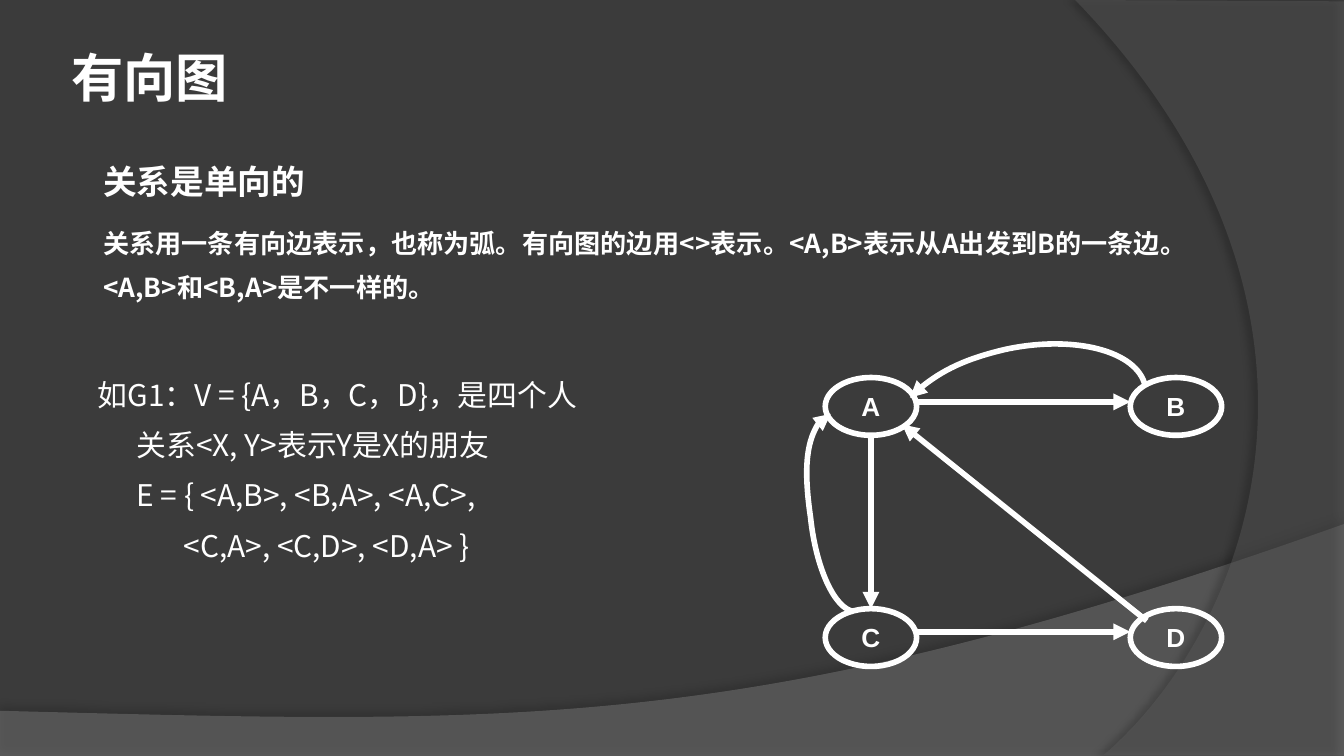
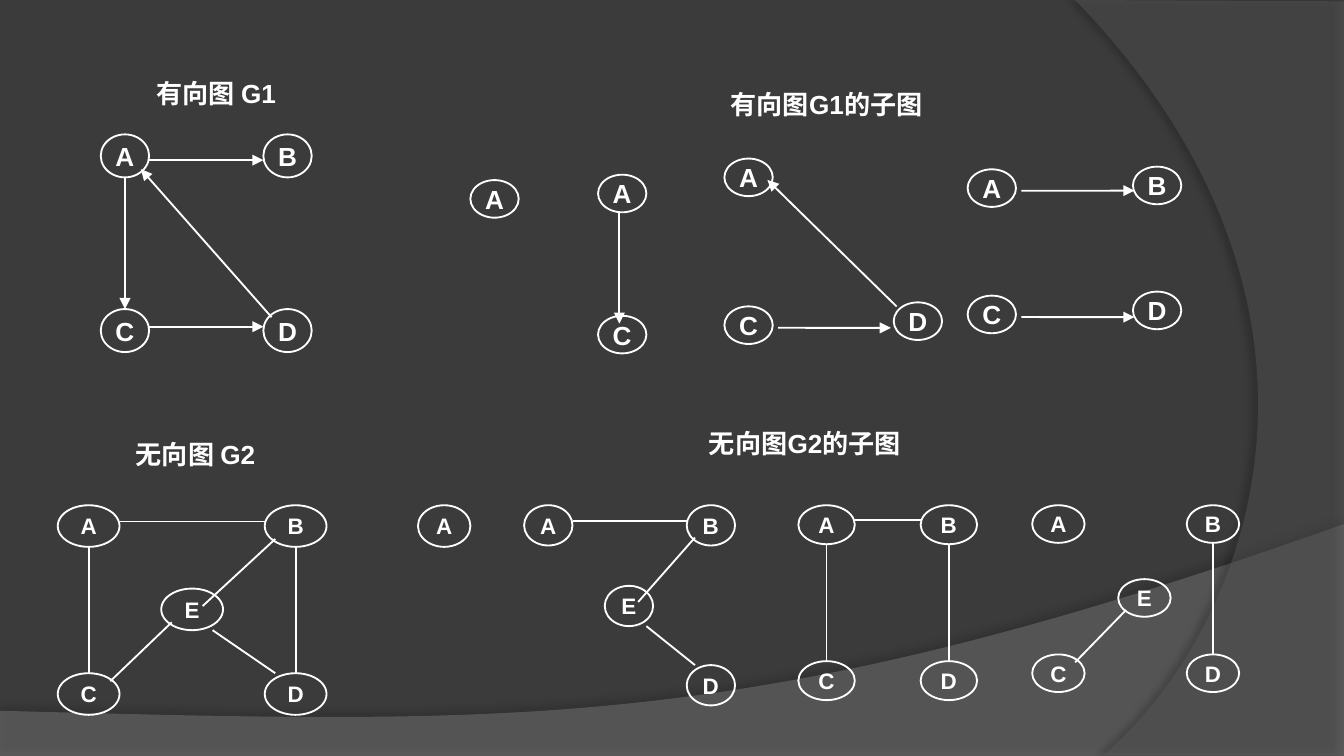
from dataclasses import dataclass
from math import cos, radians, sin

from lxml.etree import SubElement as Sub
from pptx import Presentation
from pptx.dml.color import RGBColor as Rgb
from pptx.enum.shapes import MSO_CONNECTOR as Link, MSO_SHAPE as Kind
from pptx.enum.text import MSO_ANCHOR as Anchor, MSO_AUTO_SIZE as Fit, PP_ALIGN as Align
from pptx.oxml.ns import qn
from pptx.util import Cm, Pt


@dataclass(frozen=True)
class Theme:
    back: str = "3B3B3B"
    ink: str = "FFFFFF"
    wave: str = "7F7F7F"
    side: str = "5E5E5E"
    shade: str = "000000"
    latin: str = "Arial"
    han: str = "Noto Sans CJK SC"
    title: int = 28
    head: int = 18
    body: int = 16
    label: int = 14
    small: int = 12
    thick: int = 3
    thin: int = 1


@dataclass(frozen=True)
class Graph:
    """Nodes are offsets from the box corner; an edge joins points given as fractions of a node."""
    size: tuple
    nodes: dict
    edges: tuple = ()
    arcs: tuple = ()
    text: int = 14
    line: int = 1
    arrow: bool = True


look = Theme()


def unit(num):
    """Turn a grid unit of 2.54 cm into a length."""
    return Cm(2.54 * num)


def square(wide, high, **more):
    """Place A, B, C and D on the corners of a rectangle, plus any others."""
    return {"A": (0, 0), "B": (wide, 0), "C": (0, high), "D": (wide, high), **more}


# ---- Basic parts

def format_text(para, size, bold, font):
    for run in para.runs:
        run.font.size, run.font.bold = Pt(size), bold
        run.font.color.rgb = Rgb.from_string(look.ink)
        run.font.name = font
        Sub(run.font._element, qn("a:ea")).set("typeface", look.han)


def add_text(slide, box, lines, size, bold=True, font=look.han, gap=None,
             align=None, grow=True, dents=()):
    """Write one paragraph per line; dents holds (margin, first indent) pairs."""
    shape = slide.shapes.add_textbox(*map(unit, box))
    frame = shape.text_frame
    frame.word_wrap = True
    frame.text = "\n".join(lines)
    if grow:
        frame.auto_size = Fit.SHAPE_TO_FIT_TEXT
    for para, (left, first) in zip(frame.paragraphs, dents):
        prop = para._p.get_or_add_pPr()
        prop.set("marL", str(unit(left)))
        prop.set("indent", str(unit(first)))
    for para in frame.paragraphs:
        para.alignment, para.line_spacing = align, gap
        format_text(para, size, bold, font)


def set_line(shape, width, arrow=False):
    shape.line.color.rgb = Rgb.from_string(look.ink)
    shape.line.width = Pt(width)
    if arrow:
        Sub(shape.line._get_or_add_ln(), qn("a:tailEnd")).set("type", "triangle")


def add_path(shapes, box, start, parts, turn=0, close=False):
    """Draw a path of points and Bezier triples, as seen once the box is turned."""
    left, top, wide, high = box
    c, s = cos(radians(turn)), sin(radians(turn))

    def local(dot):
        x, y = dot[0] - left - wide / 2, dot[1] - top - high / 2
        return unit(c * x + s * y + wide / 2), unit(c * y - s * x + high / 2)

    pen = shapes.build_freeform(*map(unit, start))
    pen.add_line_segments([(unit(left + wide), unit(top + high))], close=close)
    form = pen.convert_to_shape()
    form.shadow.inherit = False
    form.left, form.top, form.width, form.height = map(unit, box)
    form.rotation = turn
    path = form.element.find(f".//{qn('a:path')}")
    path.clear()
    path.set("w", str(form.width))
    path.set("h", str(form.height))
    for step, part in enumerate([start, *parts]):
        curve = len(part) == 3
        name = "a:moveTo" if step == 0 else "a:cubicBezTo" if curve else "a:lnTo"
        move = Sub(path, qn(name))
        for x, y in map(local, part if curve else [part]):
            Sub(move, qn("a:pt"), x=str(x), y=str(y))
    if close:
        Sub(path, qn("a:close"))
    return form


# ---- Shared backdrop

def add_wave(slide, box, start, parts, color, alpha, shade):
    form = add_path(slide.shapes, box, start, parts, close=True)
    form.line.fill.background()
    form.fill.solid()
    form.fill.fore_color.rgb = Rgb.from_string(color)
    prop = form.element.spPr
    tint = prop.find(f"{qn('a:solidFill')}/{qn('a:srgbClr')}")
    Sub(tint, qn("a:alpha")).set("val", str(alpha * 1000))
    depth, blur, dist, angle = shade
    drop = Sub(prop.find(qn("a:effectLst")), qn("a:outerShdw"), blurRad=str(Pt(blur)),
               dist=str(Pt(dist)), dir=str(angle * 60000), algn="ctr", rotWithShape="0")
    tone = Sub(drop, qn("a:srgbClr"), val=look.shade)
    Sub(tone, qn("a:alpha")).set("val", str(depth * 1000))
    return form


def set_master(deck, slide):
    """Give the master its colour and move the two waves onto it."""
    master = deck.slide_master
    master.background.fill.solid()
    master.background.fill.fore_color.rgb = Rgb.from_string(look.back)
    low = add_wave(slide, (0, 3.9, 10, 1.73), (0, 5.29),
                   [(0, 5.63), (10, 5.63), (10, 3.9),
                    ((5.59, 5.47), (3.91, 5.39), (0, 5.29))],
                   look.wave, 45, (35, 4, 3.5, 270))
    side = add_wave(slide, (8, 0, 2, 5.62), (10, 0.01),
                    [(10, 5.62), (8.21, 5.62),
                     ((9.35, 4.64), (10.18, 2.25), (8, 0)), (10, 0.01)],
                    look.side, 40, (45, 4, 4, 180))
    for form in (low, side):
        master.shapes.element.append(form.element)


# ---- Graphs

def add_node(shapes, name, spot, size, graph):
    node = shapes.add_shape(Kind.OVAL, *map(unit, (*spot, *size)))
    node.shadow.inherit = False
    node.fill.background()
    set_line(node, graph.line)
    frame = node.text_frame
    frame.text, frame.word_wrap = name, graph.line == look.thick
    frame.vertical_anchor = Anchor.MIDDLE
    para = frame.paragraphs[0]
    para.alignment = Align.CENTER
    format_text(para, graph.text, True, look.latin)


def add_edge(shapes, start, end, graph):
    edge = shapes.add_connector(Link.STRAIGHT, *map(unit, (*start, *end)))
    set_line(edge, graph.line, graph.arrow)
    Sub(edge.element.spPr, qn("a:effectLst"))


def add_graph(slide, corner, graph):
    shapes = slide.shapes
    if len(graph.nodes) > 1:
        shapes = shapes.add_group_shape().shapes
    left, top = corner
    wide, high = graph.size

    def shift(dot):
        return left + dot[0], top + dot[1]

    spots = {name: shift(spot) for name, spot in graph.nodes.items()}

    def port(name, x, y):
        return spots[name][0] + x * wide, spots[name][1] + y * high

    for name, spot in spots.items():
        add_node(shapes, name, spot, graph.size, graph)
    for edge in graph.edges:
        add_edge(shapes, port(*edge[:3]), port(*edge[3:]), graph)
    for box, turn, start, *curves in graph.arcs:
        parts = [tuple(map(shift, curve)) for curve in curves]
        arc = add_path(shapes, (*shift(box), *box[2:]), shift(start), parts, turn)
        arc.fill.background()
        set_line(arc, graph.line, True)


def down(top, low):
    return top, 0.5, 1, low, 0.5, 0


def across(left, right, level):
    return left, 1, level, right, 0, level


FRIENDS = Graph(
    (0.68, 0.43), square(2.27, 1.72),
    (down("A", "C"), across("C", "D", 0.4), across("A", "B", 0.42),
     ("D", 0.18, 0.21, "A", 0.84, 0.81)),
    arcs=(((1.24, -0.85, 0.49, 1.73), 77.6, (2.38, 0.06),
           ((2.32, -0.2), (1.85, -0.32), (1.34, -0.21)),
           ((1.04, -0.14), (0.78, -0.01), (0.63, 0.15))),
          ((-0.12, 0.28, 0.26, 1.47), 172.6, (0.21, 1.74),
           ((0.07, 1.72), (-0.07, 1.42), (-0.11, 1.04)),
           ((-0.17, 0.63), (-0.1, 0.29), (0.04, 0.27)))),
    text=look.label, line=look.thick)

OVAL = (0.36, 0.28)
DIRECTED = (
    ((0.75, 1), Graph(
        (0.36, 0.32), square(1.21, 1.3),
        (across("A", "B", 0.6), across("C", "D", 0.41), down("A", "C"),
         ("D", 0.17, 0.19, "A", 0.83, 0.81)))),
    ((3.5, 1.34), Graph(OVAL, {"A": (0, 0)})),
    ((4.45, 1.3), Graph(OVAL, {"A": (0, 0), "C": (0, 1.05)},
                        (("A", 0.44, 0.97, "C", 0.44, 0.21),))),
    ((5.39, 1.18), Graph(
        OVAL, {"A": (0, 0), "C": (0, 1.1), "D": (1.26, 1.07)},
        (("C", 1.11, 0.57, "D", -0.06, 0.68), ("D", 0.06, 0.11, "A", 0.89, 0.57)))),
    ((7.2, 1.26), Graph(
        OVAL, {"A": (0, 0), "B": (1.23, -0.02), "C": (0, 0.94), "D": (1.23, 0.91)},
        (("A", 1.11, 0.57, "B", 0.03, 0.64), ("C", 1.11, 0.57, "D", 0.03, 0.68)))),
)


def plain(size, nodes, *edges):
    """Describe an undirected graph."""
    return Graph(size, nodes, edges, text=look.small, line=look.thin, arrow=False)


LEVEL = 3.76
UNDIRECTED = (
    (0.43, plain((0.46, 0.31), square(1.54, 1.25, E=(0.77, 0.62)),
                 across("A", "B", 0.39), down("A", "C"), down("B", "D"),
                 ("E", 0.67, 0.42, "B", 0.17, 0.81),
                 ("C", 0.85, 0.19, "E", 0.17, 0.81),
                 ("D", 0.17, 0, "E", 0.83, 1))),
    (3.11, plain((0.39, 0.31), {"A": (0, 0)})),
    (3.9, plain((0.36, 0.3),
                {"A": (0, 0), "B": (1.21, 0), "D": (1.21, 1.19), "E": (0.6, 0.6)},
                across("A", "B", 0.4), ("E", 0.69, 0.4, "B", 0.17, 0.8),
                ("D", 0.17, 0, "E", 0.86, 1))),
    (5.94, plain((0.42, 0.29), square(0.91, 1.16),
                 across("A", "B", 0.38), down("A", "C"), down("B", "D"))),
    (7.68, plain((0.39, 0.28), square(1.15, 1.11, E=(0.64, 0.55)),
                 down("B", "D"), ("C", 0.82, 0.21, "E", 0.15, 0.82))),
)

CAPTIONS = (
    ((0.51, 0.53, 2.2, 0.34), "有向图 G1"),
    ((4.69, 0.61, 2.92, 0.34), "有向图G1的子图"),
    ((0.43, 3.21, 2.05, 0.34), "无向图 G2"),
    ((4.53, 3.13, 2.92, 0.34), "无向图G2的子图"),
)


# ---- Slides

def fill_intro(slide):
    add_text(slide, (0.43, 0.29, 8.35, 0.57), ["有向图"], look.title)
    add_text(slide, (0.67, 1, 9.06, 0.48), ["关系是单向的"], look.head, gap=1.5)
    add_text(slide, (0.67, 1.55, 8.11, 0.71),
             ["关系用一条有向边表示，也称为弧。有向图的边用<>表示。"
              "<A,B>表示从A出发到B的一条边。<A,B>和<B,A>是不一样的。"],
             look.label, gap=1.4)
    add_text(slide, (0.59, 2.65, 5.2, 0.94),
             ["如G1：V = {A，B，C，D}，是四个人",
              "关系<X, Y>表示Y是X的朋友",
              "E = { <A,B>, <B,A>, <A,C>,",
              "<C,A>, <C,D>, <D,A> }"],
             look.body, bold=False, gap=1.4, grow=False,
             dents=((0.46, -0.42), (0.33, 0), (0.33, 0), (0.68, 0)))
    add_graph(slide, (6.14, 2.81), FRIENDS)


def fill_parts(slide):
    for box, text in CAPTIONS:
        add_text(slide, box, [text], look.label, font=look.latin, align=Align.CENTER)
    for corner, graph in DIRECTED:
        add_graph(slide, corner, graph)
    for left, graph in UNDIRECTED:
        add_graph(slide, (left, LEVEL), graph)


def main():
    deck = Presentation()
    deck.slide_width, deck.slide_height = Cm(25.4), Cm(14.29)
    blank = deck.slide_layouts[6]
    intro, parts = (deck.slides.add_slide(blank) for _ in range(2))
    for layout in (blank, deck.slide_master):
        for holder in list(layout.placeholders):
            holder.element.getparent().remove(holder.element)
    set_master(deck, intro)
    fill_intro(intro)
    fill_parts(parts)
    deck.save("out.pptx")


if __name__ == "__main__":
    main()
